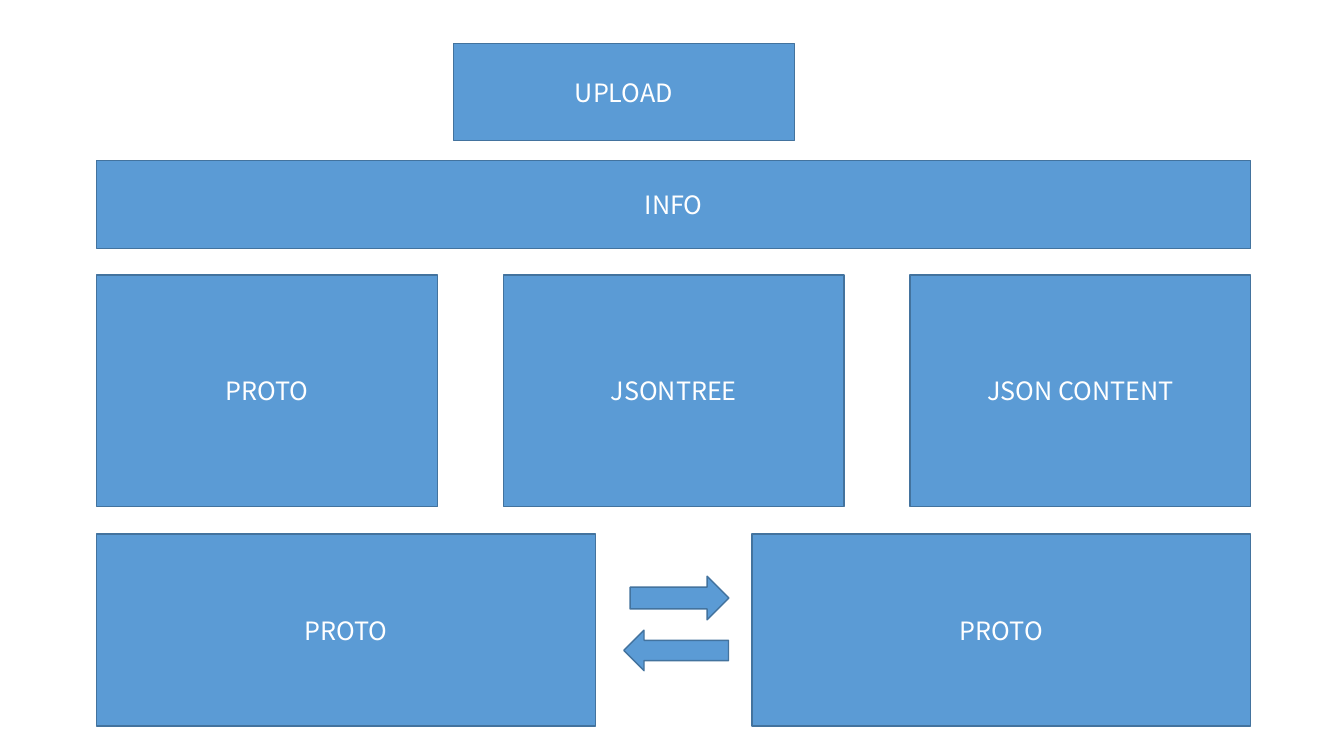
from pptx import Presentation
from pptx import util as u
from pptx.dml.color import RGBColor
from pptx.enum import shapes, text

LEFT, FULL_WIDTH = 2.44, 29.08
PANEL_WIDTH, PROTO_WIDTH = 8.59, 12.57


def colour(hex_string):
    return RGBColor.from_string(hex_string)


def write(shape, wording, size=18, font="Noto Sans CJK SC", color="FFFFFF"):
    frame = shape.text_frame
    frame.word_wrap = True
    frame.vertical_anchor = text.MSO_ANCHOR.MIDDLE
    paragraph = frame.paragraphs[0]
    paragraph.alignment = text.PP_ALIGN.CENTER
    run = paragraph.add_run()
    run.text = wording
    run.font.size = u.Pt(size)
    run.font.name = font
    run.font.color.rgb = colour(color)


class Wireframe:
    fill = "5B9BD5"
    outline = "43739E"

    def __init__(self, slide):
        self.slide = slide

    def block(self, kind, left, top, width, height):
        """Add a filled, outlined preset shape; lengths in centimetres."""
        shape = self.slide.shapes.add_shape(
            kind, u.Cm(left), u.Cm(top), u.Cm(width), u.Cm(height))
        shape.shadow.inherit = False
        shape.fill.solid()
        shape.fill.fore_color.rgb = colour(self.fill)
        shape.line.color.rgb = colour(self.outline)
        shape.line.width = u.Pt(1)
        return shape

    def panel(self, label, left, top, width, height):
        write(self.block(shapes.MSO_SHAPE.RECTANGLE, left, top, width, height), label)

    def arrow(self, left, top, width, height, rotation=0):
        arrow = self.block(shapes.MSO_SHAPE.RIGHT_ARROW, left, top, width, height)
        arrow.rotation = rotation


def main():
    deck = Presentation()
    deck.slide_width, deck.slide_height = u.Cm(33.87), u.Cm(19.05)
    page = Wireframe(deck.slides.add_slide(deck.slide_layouts[6]))

    page.panel("UPLOAD", 11.43, 1.09, PANEL_WIDTH, 2.46)

    views = ["PROTO", "JSONTREE", "JSON CONTENT"]
    view_step = (FULL_WIDTH - PANEL_WIDTH) / (len(views) - 1)
    for column, view in enumerate(views):
        page.panel(view, LEFT + column * view_step, 6.93, PANEL_WIDTH, 5.84)

    page.panel("INFO", LEFT, 4.04, FULL_WIDTH, 2.23)

    for proto_left in (LEFT, LEFT + FULL_WIDTH - PROTO_WIDTH):
        page.panel("PROTO", proto_left, 13.46, PROTO_WIDTH, 4.84)

    page.arrow(15.88, 14.52, 2.49, 1.1)
    page.arrow(15.72, 15.88, 2.64, 1.02, rotation=180)

    deck.save("out.pptx")


if __name__ == "__main__":
    main()
